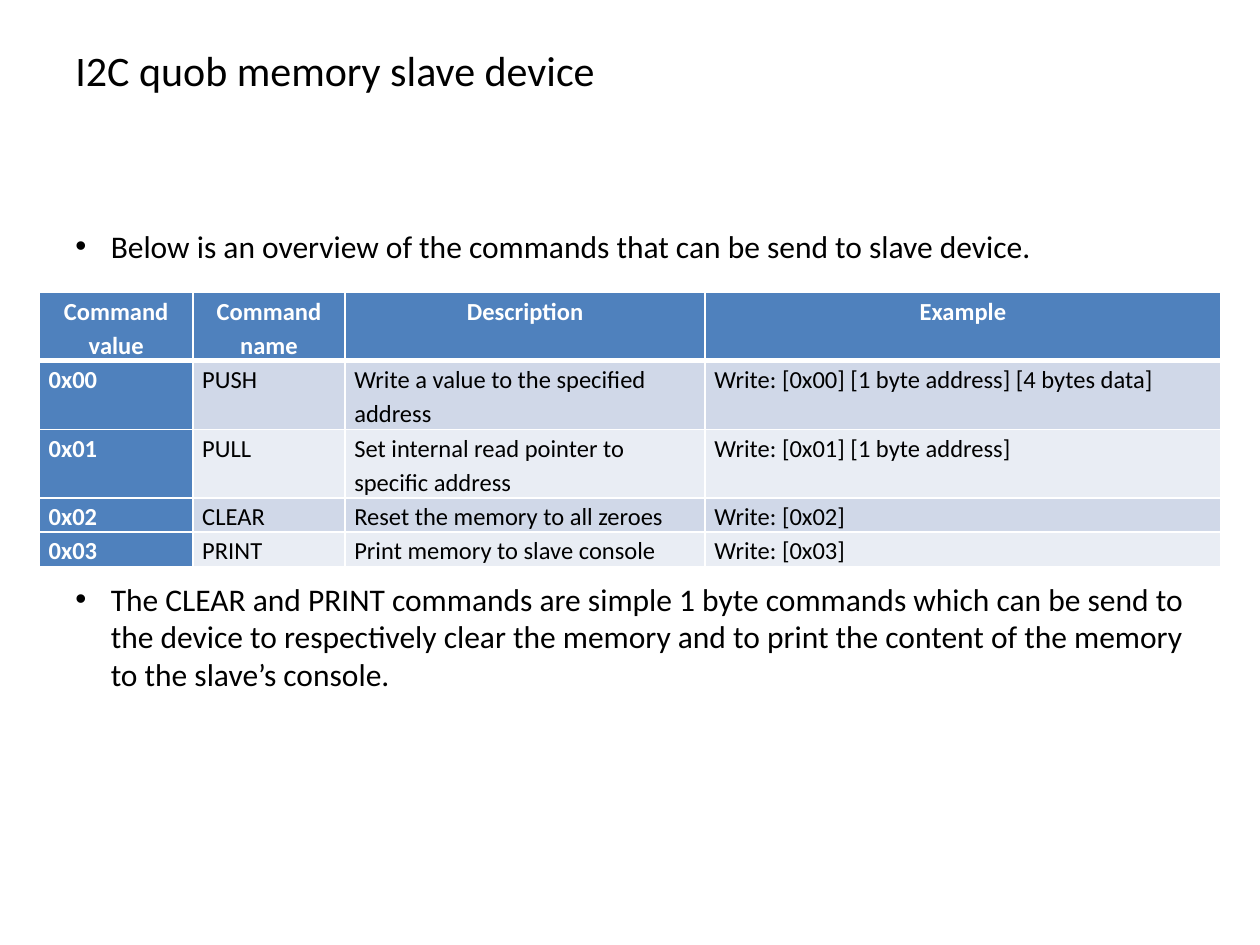
from dataclasses import dataclass

from lxml import etree
from pptx import Presentation
from pptx.dml.color import RGBColor
from pptx.enum.text import MSO_ANCHOR, PP_ALIGN
from pptx.oxml.ns import qn
from pptx.util import Pt

LEFT, CENTER = PP_ALIGN.LEFT, PP_ALIGN.CENTER
TOP = MSO_ANCHOR.TOP
FONT = "Calibri"
COLORS = {
    "text": "000000",
    "white": "FFFFFF",
    "header": "4F81BD",
    "odd": "D0D8E8",
    "even": "E9EDF4",
}
LINE_HEIGHT = 19.6


@dataclass(frozen=True)
class Command:
    """One table row: command value, name, description and example."""
    value: str
    name: str
    description: str
    example: str
    lines: int = 1

    def texts(self) -> tuple[str, ...]:
        return self.value, self.name, self.description, self.example


HEADER = Command("Command value", "Command name", "Description", "Example", 2)
COMMANDS = [
    Command("0x00", "PUSH", "Write a value to the specified address",
            "Write: [0x00] [1 byte address] [4 bytes data]", 2),
    Command("0x01", "PULL", "Set internal read pointer to specific address",
            "Write: [0x01] [1 byte address]", 2),
    Command("0x02", "CLEAR", "Reset the memory to all zeroes", "Write: [0x02]"),
    Command("0x03", "PRINT", "Print memory to slave console", "Write: [0x03]"),
]
COLUMN_WIDTHS = [87.8, 86.9, 205.8, 294.6]
BULLETS = [
    ("Below is an overview of the commands that can be send to slave device.", 0),
    ("The CLEAR and PRINT commands are simple 1 byte commands which can be send to "
     "the device to respectively clear the memory and to print the content of the "
     "memory to the slave’s console.", 180),
]


def write(p, text: str, *, size: float, color: str = "text", bold: bool = False,
          align=LEFT, before: float = 0, spacing: float = 1.0) -> None:
    p.alignment = align
    p.space_before = Pt(before)
    p.line_spacing = spacing
    r = p.add_run()
    r.text = text
    r.font.name = FONT
    r.font.size = Pt(size)
    r.font.bold = bold
    r.font.color.rgb = RGBColor.from_string(COLORS[color])


def add_text_box(s, x: float, y: float, w: float, h: float):
    tf = s.shapes.add_textbox(Pt(x), Pt(y), Pt(w), Pt(h)).text_frame
    tf.word_wrap = True
    tf.vertical_anchor = TOP
    return tf


def add_bullet(p, indent: float) -> None:
    pPr = p._p.get_or_add_pPr()
    pPr.set("marL", str(Pt(indent)))
    pPr.set("indent", str(-Pt(indent)))
    etree.SubElement(pPr, qn("a:buFont"), typeface="Arial")
    etree.SubElement(pPr, qn("a:buChar"), char="•")


def set_borders(cell, widths: dict[str, float]) -> None:
    tcPr = cell._tc.get_or_add_tcPr()
    for side, width in widths.items():
        ln = etree.SubElement(tcPr, qn(f"a:ln{side}"), w=str(Pt(width)))
        fill = etree.SubElement(ln, qn("a:solidFill"))
        etree.SubElement(fill, qn("a:srgbClr"), val=COLORS["white"])


def add_command_table(s, x: float, y: float) -> None:
    rows = [HEADER, *COMMANDS]
    table = s.shapes.add_table(
        len(rows), len(COLUMN_WIDTHS), Pt(x), Pt(y), Pt(sum(COLUMN_WIDTHS)),
        Pt(LINE_HEIGHT * sum(row.lines for row in rows))).table
    table.first_col = True
    for column, width in zip(table.columns, COLUMN_WIDTHS):
        column.width = Pt(width)
    for i, row in enumerate(rows):
        table.rows[i].height = Pt(LINE_HEIGHT * row.lines)
        for j, text in enumerate(row.texts()):
            cell = table.cell(i, j)
            heading = i == 0 or j == 0
            set_borders(cell, {"L": 1, "R": 1, "T": 3 if i == 1 else 1,
                               "B": 3 if i == 0 else 1})
            fill = "header" if heading else "odd" if i % 2 else "even"
            cell.fill.solid()
            cell.fill.fore_color.rgb = RGBColor.from_string(COLORS[fill])
            cell.margin_left = cell.margin_right = Pt(5.3)
            cell.margin_top = cell.margin_bottom = Pt(0)
            write(cell.text_frame.paragraphs[0], text, size=14, bold=heading,
                  color="white" if heading else "text",
                  align=CENTER if i == 0 else LEFT, before=5, spacing=1.15)


def main() -> None:
    prs = Presentation()
    prs.slide_width, prs.slide_height = Pt(720), Pt(540)
    s = prs.slides.add_slide(prs.slide_layouts[6])

    title = add_text_box(s, 36, 21.6, 648, 90)
    write(title.paragraphs[0], "I2C quob memory slave device", size=24)

    body = add_text_box(s, 36, 126, 648, 356.4)
    for i, (text, before) in enumerate(BULLETS):
        p = body.add_paragraph() if i else body.paragraphs[0]
        write(p, text, size=18, before=before)
        add_bullet(p, 20.25)

    add_command_table(s, 22.5, 167)
    prs.save("out.pptx")


main()
